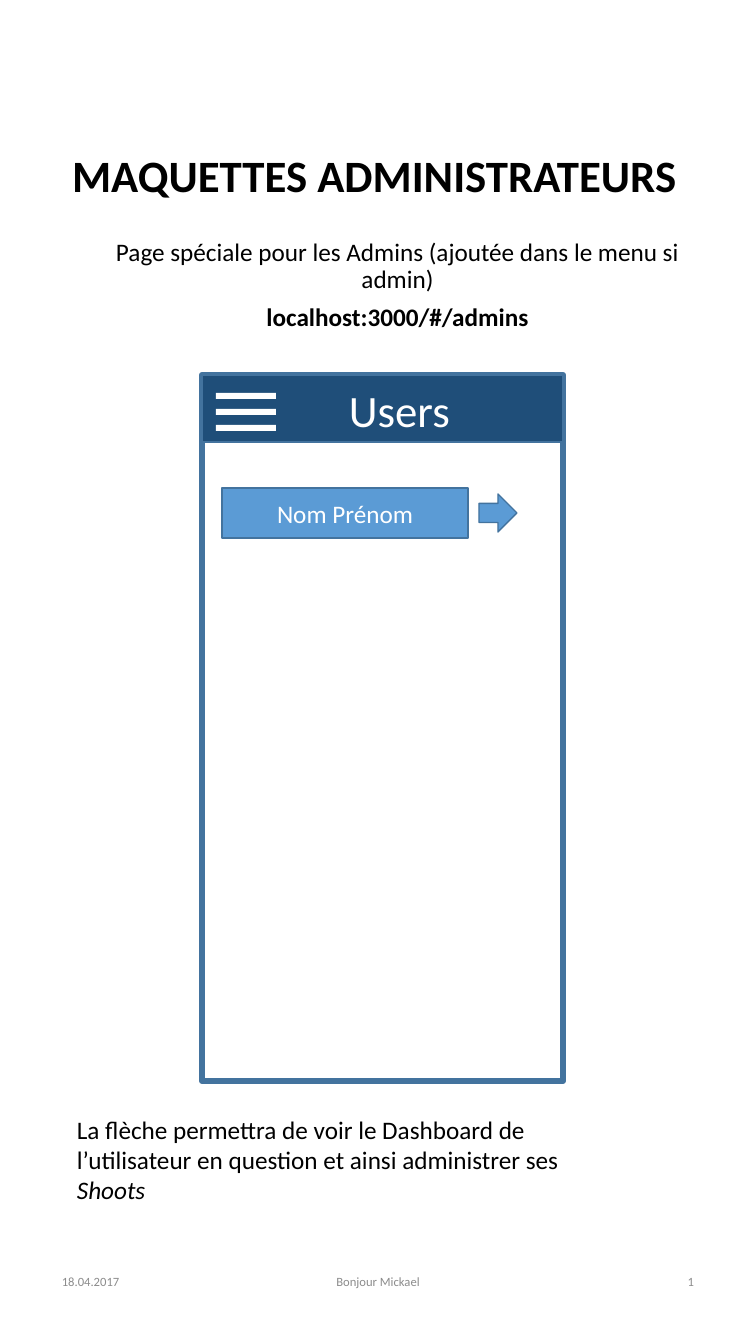
from lxml import etree
from pptx import Presentation
from pptx.dml.color import RGBColor
from pptx.enum.shapes import MSO_SHAPE as Shape
from pptx.enum.text import MSO_ANCHOR as Anchor, MSO_AUTO_SIZE as AutoSize, PP_ALIGN as Align
from pptx.util import Pt

SCALE = 914400 / 100.8
FONT = "Calibri"
COLORS = {
    "black": "000000",
    "white": "FFFFFF",
    "grey": "8C8C8C",
    "header": "1F4E79",
    "button": "5B9BD5",
    "outline": "43739E",
}


def px(length):
    """Turn pixels into EMU."""
    return round(length * SCALE)


def color(name):
    """Look up a colour by name."""
    return RGBColor.from_string(COLORS[name])


def write_text(shape, paragraphs, size=18, ink="black", align=Align.LEFT,
               anchor=Anchor.TOP, wrap=True, line_spacing=1.0, space_before=0):
    """Fill a shape with paragraphs, each a list of (text, style) runs."""
    frame = shape.text_frame
    frame.word_wrap = wrap
    frame.auto_size = AutoSize.NONE
    frame.vertical_anchor = anchor
    for index, runs in enumerate(paragraphs):
        paragraph = frame.add_paragraph() if index else frame.paragraphs[0]
        paragraph.alignment = align
        paragraph.line_spacing = line_spacing
        paragraph.space_before = Pt(space_before)
        for text, style in runs:
            run = paragraph.add_run()
            run.text = text
            run.font.name = FONT
            run.font.size = Pt(size)
            run.font.color.rgb = color(ink)
            run.font.bold = style == "bold"
            run.font.italic = style == "italic"


def add_text(slide, box, paragraphs, **text_format):
    """Add a text box."""
    shape = slide.shapes.add_textbox(*map(px, box))
    write_text(shape, paragraphs, **text_format)
    return shape


def add_block(slide, kind, box, fill=None, line=None, line_width=1):
    """Add a flat preset shape."""
    shape = slide.shapes.add_shape(kind, *map(px, box))
    shape.shadow.inherit = False
    if fill:
        shape.fill.solid()
        shape.fill.fore_color.rgb = color(fill)
    else:
        shape.fill.background()
    if line:
        shape.line.color.rgb = color(line)
        shape.line.width = Pt(line_width)
    else:
        shape.line.fill.background()
    return shape


def place_title(slide, box):
    """Move and format the title placeholder."""
    title = slide.shapes.title
    title.left, title.top, title.width, title.height = map(px, box)
    write_text(title, [[("MAQUETTES ADMINISTRATEURS", "bold")]], size=32, wrap=False)


def add_introduction(slide, box):
    """Add the page description and its address."""
    add_text(slide, box, [
        [("Page spéciale pour les Admins (ajoutée dans le menu si admin)", None)],
        [("localhost:3000/#/admins", "bold")],
    ], align=Align.CENTER, line_spacing=0.9, space_before=7.5)


def add_menu_icon(slide, box, bars=3, thickness=6):
    """Add evenly spaced menu bars."""
    left, top, width, height = box
    step = (height - thickness) / (bars - 1)
    for index in range(bars):
        add_block(slide, Shape.RECTANGLE, (left, top + index * step, width, thickness),
                  fill="white")


def add_user_row(slide, box):
    """Add a user's name button followed by its arrow."""
    left, top, width, height = box
    arrow_width, arrow_height, gap = 38, 38, 11
    button_width = width - arrow_width - gap
    button = add_block(slide, Shape.RECTANGLE, (left, top, button_width, height),
                       fill="button", line="outline")
    write_text(button, [[("Nom Prénom", None)]], ink="white", align=Align.CENTER,
               anchor=Anchor.MIDDLE)
    arrow_box = (left + button_width + gap, top + (height - arrow_height) / 2,
                 arrow_width, arrow_height)
    add_block(slide, Shape.RIGHT_ARROW, arrow_box, fill="button", line="outline")


def add_phone(slide, box):
    """Add the phone mock-up: frame, header and user row."""
    left, top, width, height = box
    add_block(slide, Shape.RECTANGLE, box, line="outline", line_width=4.5)
    add_block(slide, Shape.RECTANGLE, (left, top, width, 67), fill="header", line="outline")
    add_text(slide, (left + 137, top + 3, 141, 65), [[("Users", None)]], size=32, ink="white")
    add_menu_icon(slide, (left + 14, top + 18, 60, 38))
    add_user_row(slide, (left + 20, top + 113, 295, 50))


def add_explanation(slide, box):
    """Add the note about the arrow."""
    add_text(slide, box, [[
        ("La flèche permettra de voir le Dashboard de l’utilisateur en question "
         "et ainsi administrer ses ", None),
        ("Shoots", "italic"),
    ]])


def add_footer(slide, box):
    """Add the date, the footer text and the slide number."""
    left, top, width, height = box
    side, middle = 170, 255
    parts = [
        ("18.04.2017", left, side, Align.LEFT),
        ("Bonjour Mickael", left + (width - middle) / 2, middle, Align.CENTER),
        ("1", left + width - side, side, Align.RIGHT),
    ]
    for text, part_left, part_width, align in parts:
        add_text(slide, (part_left, top, part_width, height), [[(text, None)]],
                 size=9, ink="grey", align=align, anchor=Anchor.MIDDLE)


def build_mockup_slide(presentation):
    """Build the administrators' mock-up slide."""
    slide = presentation.slides.add_slide(presentation.slide_layouts[5])
    slide.background.fill.solid()
    slide.background.fill.fore_color.rgb = color("white")
    place_title(slide, (62, 143, 631, 65))
    add_introduction(slide, (95, 235, 605, 127))
    add_phone(slide, (202, 375, 361, 706))
    add_explanation(slide, (67, 1109, 551, 102))
    add_footer(slide, (52, 1246, 652, 72))


presentation = Presentation()
presentation.slide_width = px(756)
presentation.slide_height = px(1344)
build_mockup_slide(presentation)
presentation.save("out.pptx")
